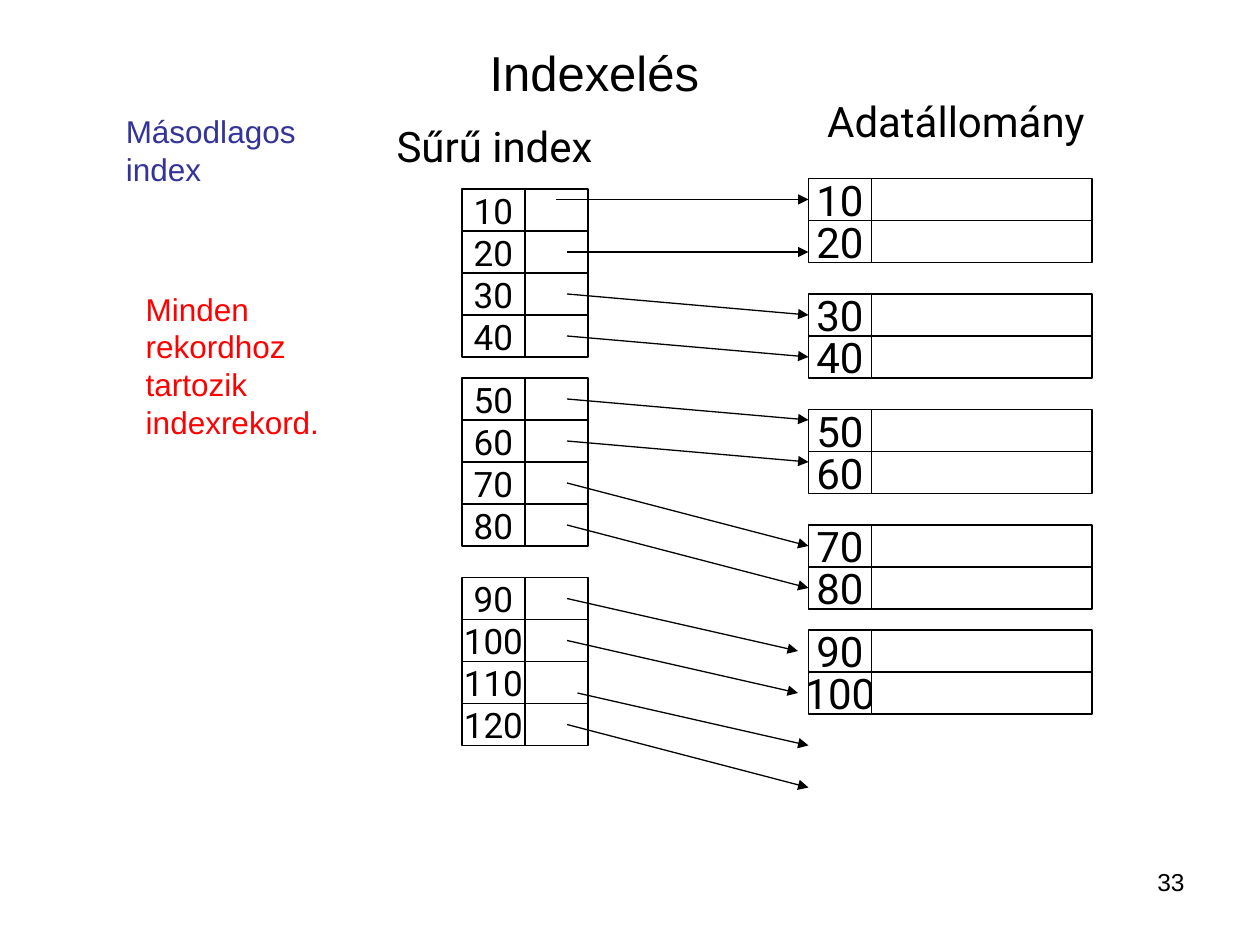
from lxml.etree import SubElement
from pptx import Presentation
from pptx.dml.color import RGBColor
from pptx.enum.shapes import MSO_CONNECTOR, MSO_SHAPE
from pptx.enum.text import MSO_ANCHOR, MSO_AUTO_SIZE, PP_ALIGN
from pptx.oxml.ns import qn
from pptx.util import Emu, Pt

EMU_PER_PX = 7620
COLORS = {"ink": "000000", "paper": "FFFFFF", "note": "FF0000", "topic": "333399"}
ROW_HEIGHT = 40
KEY_WIDTH = 60
INDEX_LEFT, POINTER_WIDTH = 440, 60
DATA_LEFT, RECORD_WIDTH = 770, 210
INDEX_TOPS = (180, 360, 550)
DATA_TOPS = (170, 280, 390, 500, 600)
POINTERS = (
    (530, 190, 770, 190), (540, 240, 770, 240),
    (540, 280, 770, 300), (540, 320, 770, 340),
    (540, 380, 770, 400), (540, 420, 770, 440),
    (540, 460, 770, 520), (540, 500, 770, 560),
    (540, 570, 760, 620), (540, 610, 760, 660),
    (550, 660, 770, 710), (540, 690, 770, 750),
)


def px(*lengths):
    """Turn px lengths into a list of EMU lengths."""
    return [Emu(length * EMU_PER_PX) for length in lengths]


def color(name):
    """Look up a named colour."""
    return RGBColor.from_string(COLORS[name])


def write(shape, text, size=24, font="Roboto", ink="ink", align=PP_ALIGN.CENTER,
          anchor=MSO_ANCHOR.MIDDLE, wrap=False):
    """Put formatted text into a shape."""
    frame = shape.text_frame
    frame.word_wrap = wrap
    frame.auto_size = MSO_AUTO_SIZE.NONE
    frame.vertical_anchor = anchor
    para = frame.paragraphs[0]
    para.alignment = align
    span = para.add_run()
    span.text = text
    span.font.name = font
    span.font.size = Pt(size)
    span.font.color.rgb = color(ink)


def add_title(page, text, box):
    """Place and fill the title placeholder."""
    title = page.shapes.title
    title.left, title.top, title.width, title.height = px(*box)
    write(title, text, size=28, font="Arial", anchor=MSO_ANCHOR.TOP, wrap=True)


def add_label(page, text, box, **style):
    """Add a text box."""
    write(page.shapes.add_textbox(*px(*box)), text, **style)


def add_cell(block, left, top, width, text="", size=24):
    """Add one outlined cell to a block."""
    cell = block.shapes.add_shape(MSO_SHAPE.RECTANGLE, *px(left, top, width, ROW_HEIGHT))
    cell.shadow.inherit = False
    cell.fill.solid()
    cell.fill.fore_color.rgb = color("paper")
    cell.line.color.rgb = color("ink")
    cell.line.width = Pt(0.75)
    if text:
        write(cell, text, size=size)


def add_blocks(page, left, tops, rows, width, size):
    """Add a column of grouped blocks with keys counting up in tens."""
    for number, top in enumerate(tops):
        block = page.shapes.add_group_shape()
        for row in range(rows):
            key = 10 * (number * rows + row + 1)
            row_top = top + row * ROW_HEIGHT
            add_cell(block, left, row_top, KEY_WIDTH, text=str(key), size=size)
            add_cell(block, left + KEY_WIDTH, row_top, width)


def add_pointer(page, ends):
    """Add an arrow from an index entry to a record."""
    arrow = page.shapes.add_connector(MSO_CONNECTOR.STRAIGHT, *px(*ends))
    arrow.line.color.rgb = color("ink")
    arrow.line.width = Pt(0.75)
    SubElement(arrow.line._get_or_add_ln(), qn("a:tailEnd"), type="triangle")
    SubElement(arrow._element.spPr, qn("a:effectLst"))


def main():
    """Build the slide on dense indexing."""
    deck = Presentation()
    deck.slide_width, deck.slide_height = px(1200, 900)
    page = deck.slides.add_slide(deck.slide_layouts[5])
    add_title(page, "Indexelés", (344, 34, 444, 68))
    add_label(page, "Adatállomány", (769, 85, 283, 60))
    add_blocks(page, DATA_LEFT, DATA_TOPS, 2, RECORD_WIDTH, 24)
    add_label(page, "Sűrű index", (358, 109, 226, 60))
    add_blocks(page, INDEX_LEFT, INDEX_TOPS, 4, POINTER_WIDTH, 20)
    for ends in POINTERS:
        add_pointer(page, ends)
    note = dict(size=18, font="Arial", align=PP_ALIGN.LEFT, anchor=MSO_ANCHOR.TOP, wrap=True)
    add_label(page, "Minden rekordhoz tartozik indexrekord.", (127, 270, 236, 156),
              ink="note", **note)
    add_label(page, "Másodlagos index", (108, 101, 217, 84), ink="topic", **note)
    add_label(page, "33", (860, 820, 280, 62), size=14, font="Arial",
              align=PP_ALIGN.RIGHT, anchor=MSO_ANCHOR.TOP, wrap=True)
    deck.save("out.pptx")


if __name__ == "__main__":
    main()
